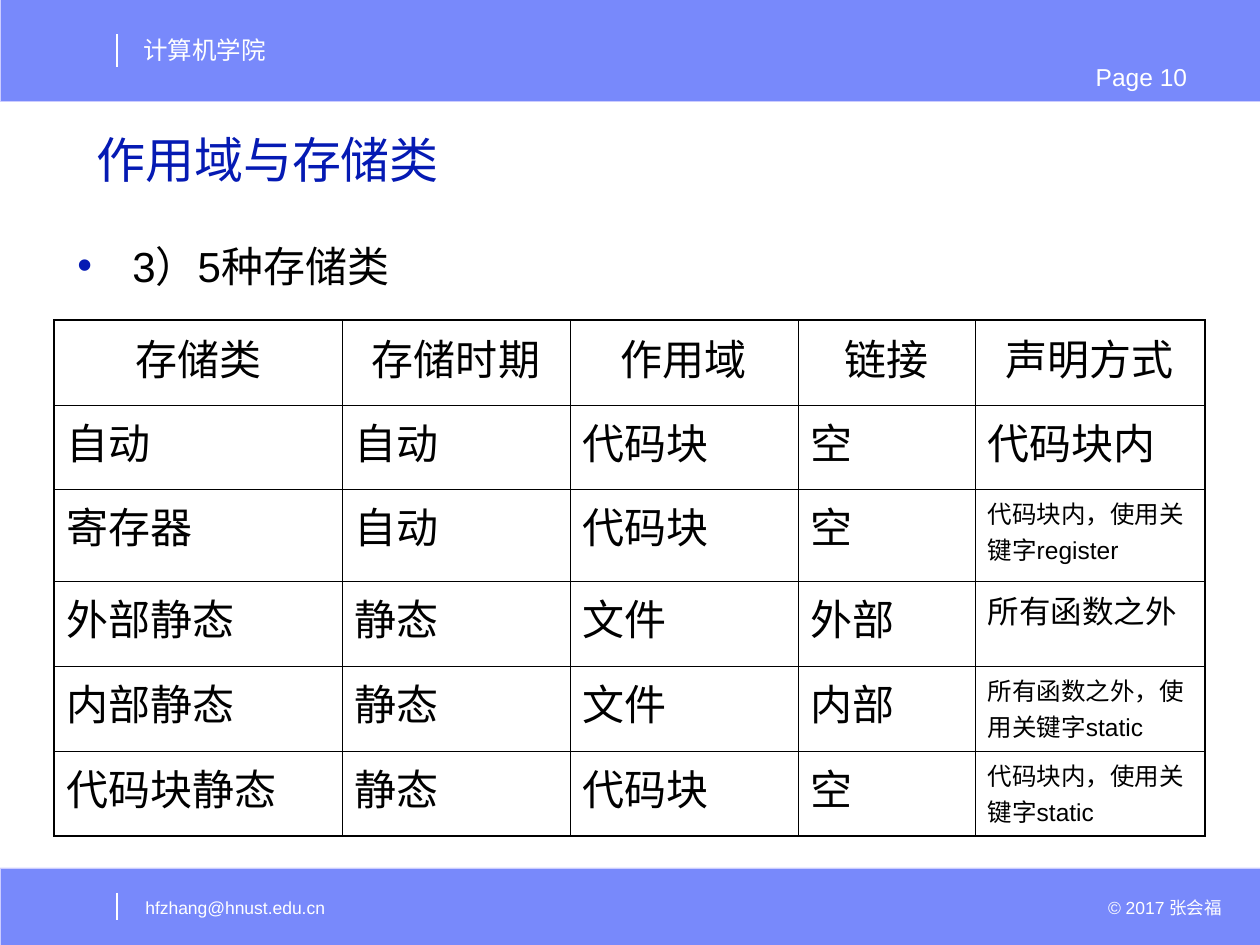
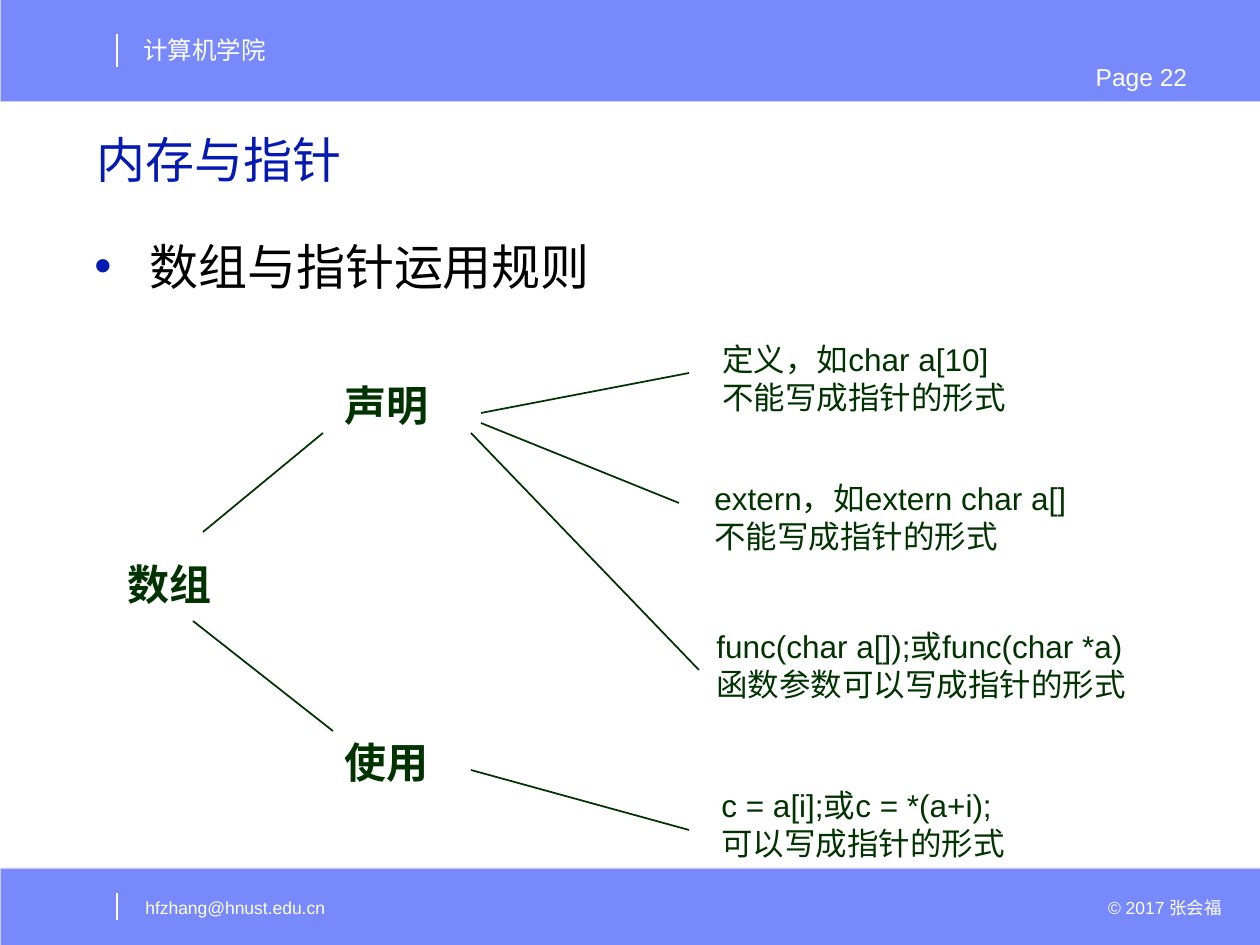
from lxml.etree import SubElement
from pptx import Presentation
from pptx.dml.color import RGBColor
from pptx.enum.shapes import MSO_CONNECTOR, MSO_SHAPE
from pptx.enum.text import MSO_ANCHOR, PP_ALIGN
from pptx.oxml import parse_xml
from pptx.oxml.ns import nsdecls, qn
from pptx.util import Pt

PX = 914400 / 126
FONT = "Arial"
BAND = RGBColor(0x78, 0x89, 0xFB)
EDGE = RGBColor(0xCC, 0xCC, 0xFF)
BLUE = RGBColor(0x05, 0x1A, 0xB3)
GREEN = RGBColor(0x00, 0x33, 0x00)
BLACK = RGBColor(0, 0, 0)
WHITE = RGBColor(255, 255, 255)

# Text looks: values for the frame, the paragraph and the font
WRAP = {"word_wrap": True}
MID = {"word_wrap": True, "vertical_anchor": MSO_ANCHOR.MIDDLE}
CENTER = {"alignment": PP_ALIGN.CENTER}
RIGHT = {"alignment": PP_ALIGN.RIGHT}
BOLD = {"bold": True}


def write(frame, text, size, color, look=WRAP, para={}, font={}):
    line = frame.paragraphs[0]
    line.text = text
    for target, values in [(frame, look), (line, para)]:
        for key, value in values.items():
            setattr(target, key, value)
    for run in line.runs:
        run.font.color.rgb = color
        for key, value in {"name": FONT, "size": Pt(size), **font}.items():
            setattr(run.font, key, value)
    return line


def rule(slide, ends, color, width):
    line = slide.shapes.add_connector(
        MSO_CONNECTOR.STRAIGHT, *[round(v * PX) for v in ends])
    line.line.color.rgb = color
    line.line.width = Pt(width)
    SubElement(line._element.spPr, qn("a:effectLst"))


deck = Presentation()
deck.slide_width, deck.slide_height = round(1260 * PX), round(945 * PX)

# Page number, title, bullet text, bullet size, bullet box
pages = [
    (10, "作用域与存储类", "3）5种存储类", 24, (65, 234, 557, 70)),
    (22, "内存与指针", "数组与指针运用规则", 28, (82, 230, 1113, 80)),
]
slides = []
for page, title, point, size, place in pages:
    slide = deck.slides.add_slide(deck.slide_layouts[6])
    slides.append(slide)

    # Top and bottom bands
    for top, height in [(868, 77), (-1, 102)]:
        band = slide.shapes.add_shape(
            MSO_SHAPE.RECTANGLE, *[round(v * PX) for v in (0, top, 1260, height)])
        band.shadow.inherit = False
        band.fill.solid()
        band.fill.fore_color.rgb = BAND
        band.line.color.rgb = EDGE
        band.line.width = Pt(0.25)
    for top, end in [(34, 67), (893, 920)]:
        rule(slide, (117, top, 117, end), WHITE, 0.75)

    # Band labels, title and bullet
    for box, text, pt, color, look, para in [
        ((131, 29, 200, 43), "计算机学院", 14, WHITE, WRAP, {}),
        ((1001, 891, 233, 34), "© 2017 张会福", 10, WHITE, MID, RIGHT),
        ((133, 891, 224, 34), "hfzhang@hnust.edu.cn", 10, WHITE, MID, {}),
        ((1047, 56, 189, 40), f"Page {page}", 14, WHITE, WRAP, CENTER),
        ((84, 109, 1108, 108), title, 28, BLUE, MID, {"line_spacing": 0.9}),
        (place, point, size, BLACK, WRAP, {"space_after": Pt(size / 4)}),
    ]:
        shape = slide.shapes.add_textbox(*[round(v * PX) for v in box])
        line = write(shape.text_frame, text, pt, color, look, para)

    # Bullet mark on the last box
    props = line._p.get_or_add_pPr()
    props.set("marL", str(round(55 * PX)))
    props.set("indent", str(round(-55 * PX)))
    tint = SubElement(props, qn("a:buClr"))
    SubElement(tint, qn("a:srgbClr"), val=str(BLUE))
    SubElement(props, qn("a:buFont"), typeface=FONT)
    SubElement(props, qn("a:buChar"), char="•")

# Storage class table
rows = [
    ("存储类", "存储时期", "作用域", "链接", "声明方式"),
    ("自动", "自动", "代码块", "空", "代码块内"),
    ("寄存器", "自动", "代码块", "空", "代码块内，使用关键字register"),
    ("外部静态", "静态", "文件", "外部", "所有函数之外"),
    ("内部静态", "静态", "文件", "内部", "所有函数之外，使用关键字static"),
    ("代码块静态", "静态", "代码块", "空", "代码块内，使用关键字static"),
]
wide = [288, 228, 228, 177, 230]
high = [85, 84, 92, 85, 85, 85]
small = {2: 14, 3: 18, 4: 14, 5: 14}
grid = slides[0].shapes.add_table(
    len(rows), len(wide),
    *[round(v * PX) for v in (54, 320, sum(wide), sum(high))]).table
grid.first_row = grid.horz_banding = False
for col, width in zip(grid.columns, wide):
    col.width = round(width * PX)
for r, row in enumerate(rows):
    grid.rows[r].height = round(high[r] * PX)
    for c, text in enumerate(row):
        cell = grid.cell(r, c)
        cell.fill.background()
        size = small.get(r, 24) if c == 4 else 24
        para = {"space_after": Pt(size / 4), **(CENTER if r == 0 else {})}
        write(cell.text_frame, text, size, BLACK, WRAP, para)
        # Outer edges are heavier than inner ones
        outer = {"L": c == 0, "R": c == 4, "T": r == 0, "B": r == 5}
        for i, (side, edge) in enumerate(outer.items()):
            width = Pt(1.08 if edge else 0.45)
            cell._tc.get_or_add_tcPr().insert(i, parse_xml(
                f'<a:ln{side} {nsdecls("a")} w="{width}"><a:solidFill>'
                f'<a:srgbClr val="{BLACK}"/></a:solidFill></a:ln{side}>'))

# Array tree: nodes and leaves
tree = slides[1]
for box, text, size, look, font in [
    ((115, 552, 140, 63), "数组", 24, MID, BOLD),
    ((332, 373, 140, 63), "声明", 24, WRAP, BOLD),
    ((332, 730, 140, 63), "使用", 24, WRAP, BOLD),
    ((710, 334, 500, 88), "定义，如char a[10]\n不能写成指针的形式", 18, WRAP, {}),
    ((702, 473, 500, 88), "extern，如extern char a[]\n不能写成指针的形式", 18, WRAP, {}),
    ((704, 621, 500, 88), "func(char a[]);或func(char *a)\n函数参数可以写成指针的形式",
     18, WRAP, {}),
    ((709, 780, 500, 88), "c = a[i];或c = *(a+i);\n可以写成指针的形式", 18, WRAP, {}),
]:
    shape = tree.shapes.add_textbox(*[round(v * PX) for v in box])
    write(shape.text_frame, text, size, GREEN, look, font=font)

# Array tree: branches
for ends in [
    (203, 532, 323, 433), (193, 621, 333, 731),
    (481, 413, 689, 373), (481, 423, 679, 503),
    (471, 433, 699, 670), (471, 770, 689, 830),
]:
    rule(tree, ends, GREEN, 1)

deck.save("out.pptx")
